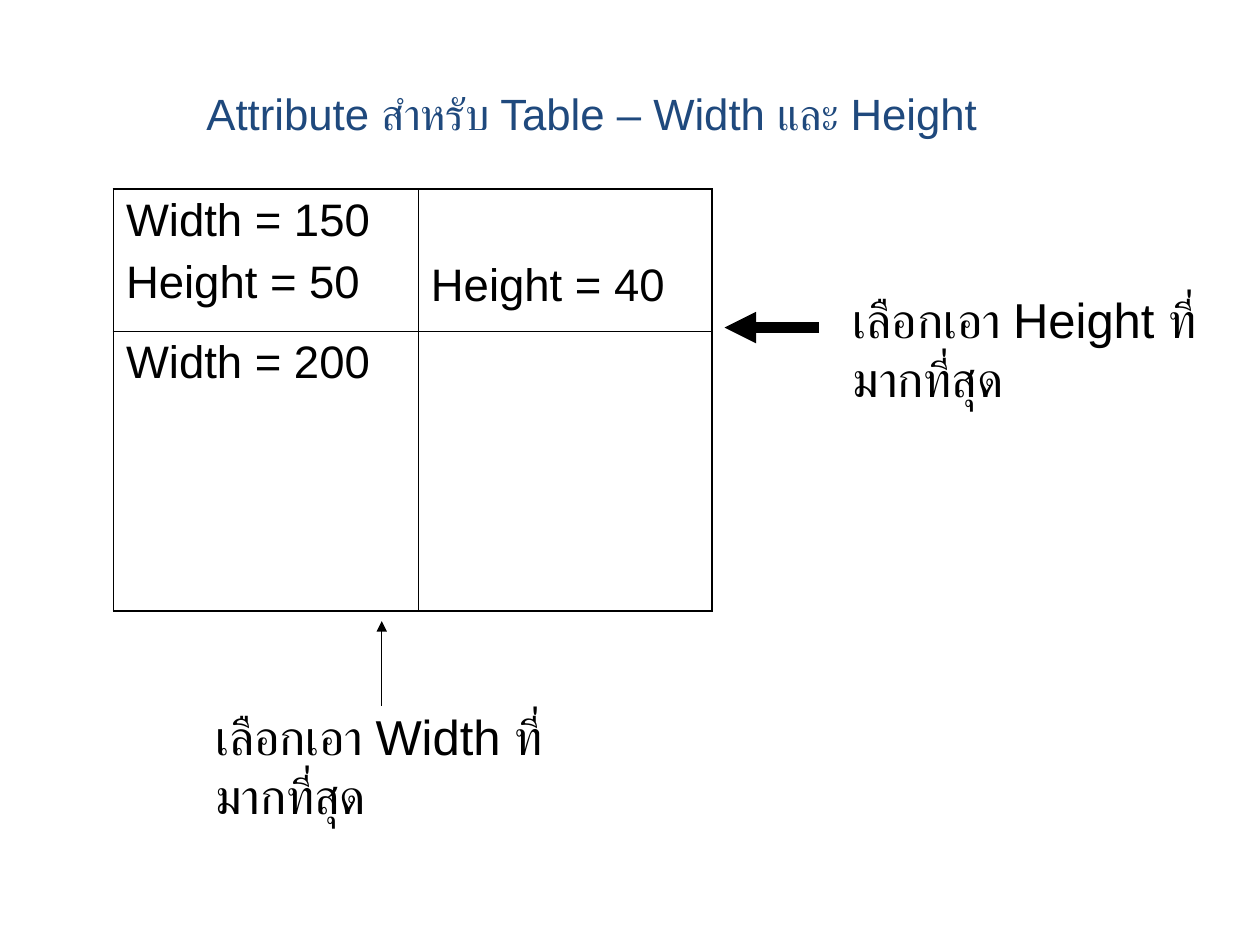
import pptx
import pptx.dml.color
import pptx.enum.shapes
import pptx.enum.text
import pptx.oxml.ns
import pptx.util
from lxml import etree
from pptx.util import Inches

COLORS = {"title": "1F497D", "ink": "000000"}
FONT = "Arial"
OUTER_BORDER = 1.08
INNER_BORDER = 0.45


def rgb(name):
    return pptx.dml.color.RGBColor.from_string(COLORS[name])


def add_element(parent, tag, **attributes):
    return etree.SubElement(parent, pptx.oxml.ns.qn(tag), **attributes)


def format_text(frame, size, color, space_before=0):
    for paragraph in frame.paragraphs:
        paragraph.space_before = pptx.util.Pt(space_before)
        for run in paragraph.runs:
            run.font.name = FONT
            run.font.size = pptx.util.Pt(size)
            run.font.color.rgb = rgb(color)


def add_text(slide, text, left, top, width, height, size, color="ink", space_before=0):
    frame = slide.shapes.add_textbox(
        Inches(left), Inches(top), Inches(width), Inches(height)
    ).text_frame
    frame.word_wrap = True
    frame.text = text
    format_text(frame, size, color, space_before)
    return frame


def add_arrow(slide, start, end, weight):
    arrow = slide.shapes.add_connector(
        pptx.enum.shapes.MSO_CONNECTOR.STRAIGHT, *map(Inches, start + end)
    )
    arrow.line.color.rgb = rgb("ink")
    arrow.line.width = pptx.util.Pt(weight)
    add_element(arrow.line._get_or_add_ln(), "a:tailEnd", type="triangle")
    add_element(arrow._element.spPr, "a:effectLst")


def set_borders(cell, widths):
    properties = cell._tc.get_or_add_tcPr()
    for position, (side, width) in enumerate(widths.items()):
        border = add_element(properties, f"a:ln{side}", w=str(pptx.util.Pt(width)))
        fill = add_element(border, "a:solidFill")
        add_element(fill, "a:srgbClr", val=COLORS["ink"])
        properties.insert(position, border)


def add_size_table(slide, left, top, column_widths, row_heights, texts):
    table = slide.shapes.add_table(
        len(row_heights), len(column_widths), Inches(left), Inches(top),
        Inches(sum(column_widths)), Inches(sum(row_heights)),
    ).table
    table.first_row = table.horz_banding = False
    for column, width in zip(table.columns, column_widths):
        column.width = Inches(width)
    last_row, last_column = len(row_heights) - 1, len(column_widths) - 1
    for r, height in enumerate(row_heights):
        table.rows[r].height = Inches(height)
        for c, text in enumerate(texts[r]):
            cell = table.cell(r, c)
            cell.text = text
            cell.fill.background()
            format_text(cell.text_frame, 26, "ink", 6.5)
            on_edge = {"L": c == 0, "R": c == last_column, "T": r == 0, "B": r == last_row}
            set_borders(cell, {
                side: OUTER_BORDER if outer else INNER_BORDER
                for side, outer in on_edge.items()
            })
    return table


def main():
    presentation = pptx.Presentation()
    presentation.slide_width, presentation.slide_height = Inches(10), Inches(7.5)
    slide = presentation.slides.add_slide(presentation.slide_layouts[6])

    size_table = add_size_table(
        slide, 0.9, 1.5, [2.42, 2.33], [1.13, 2.22],
        [["Width = 150\nHeight = 50", "Height = 40"], ["Width = 200", ""]],
    )
    smaller_height = size_table.cell(0, 1)
    smaller_height.vertical_anchor = pptx.enum.text.MSO_ANCHOR.BOTTOM
    smaller_height.margin_bottom = Inches(0.16)

    add_arrow(slide, (6.5, 2.6), (5.75, 2.6), 6)
    add_arrow(slide, (3.03, 5.6), (3.03, 4.93), 0.75)
    for name, left, top in [("Height", 6.67, 2.25), ("Width", 1.61, 5.56)]:
        add_text(slide, f"เลือกเอา {name} ที่มากที่สุด", left, top, 3.08, 1.04, 28,
                 space_before=17.5)

    title = add_text(slide, "Attribute สำหรับ Table – Width และ Height",
                     1.54, 0.6, 6.85, 0.55, 25, "title")
    title.vertical_anchor = pptx.enum.text.MSO_ANCHOR.BOTTOM
    title.paragraphs[0].line_spacing = 0.8

    presentation.save("out.pptx")


if __name__ == "__main__":
    main()
